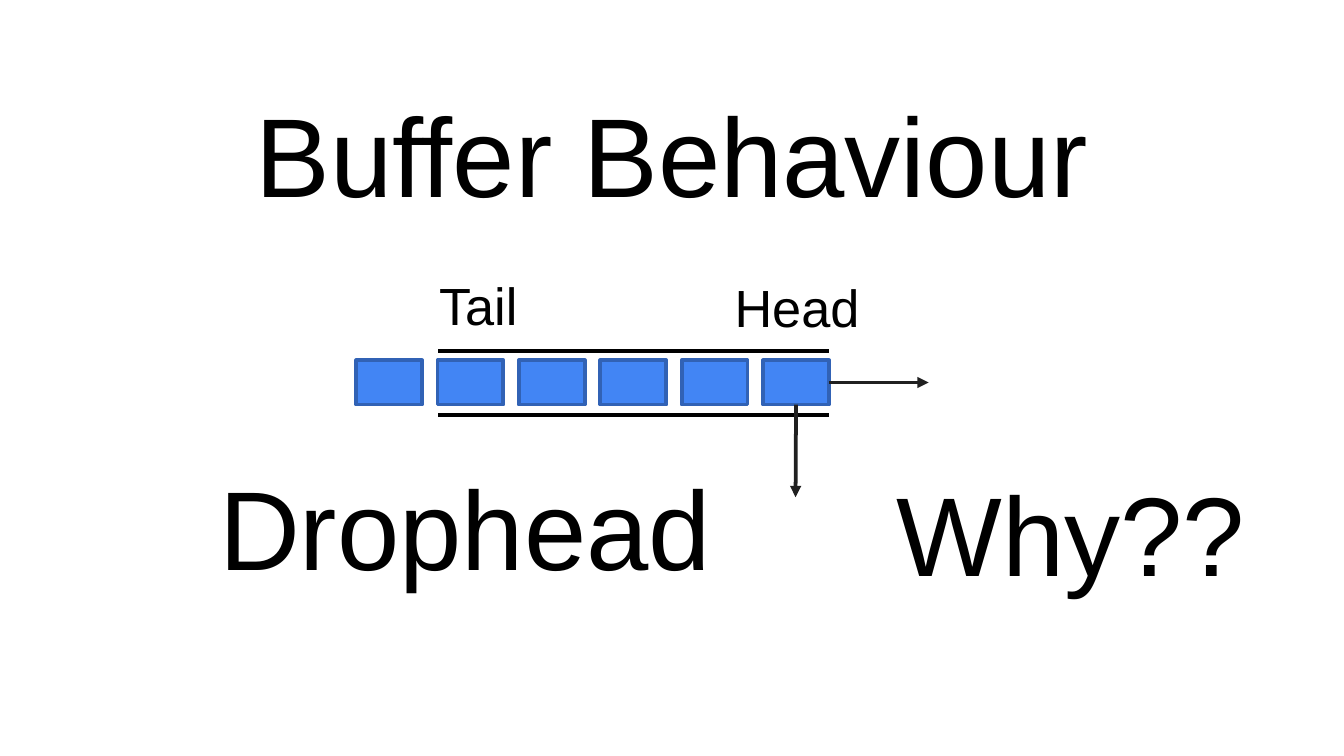
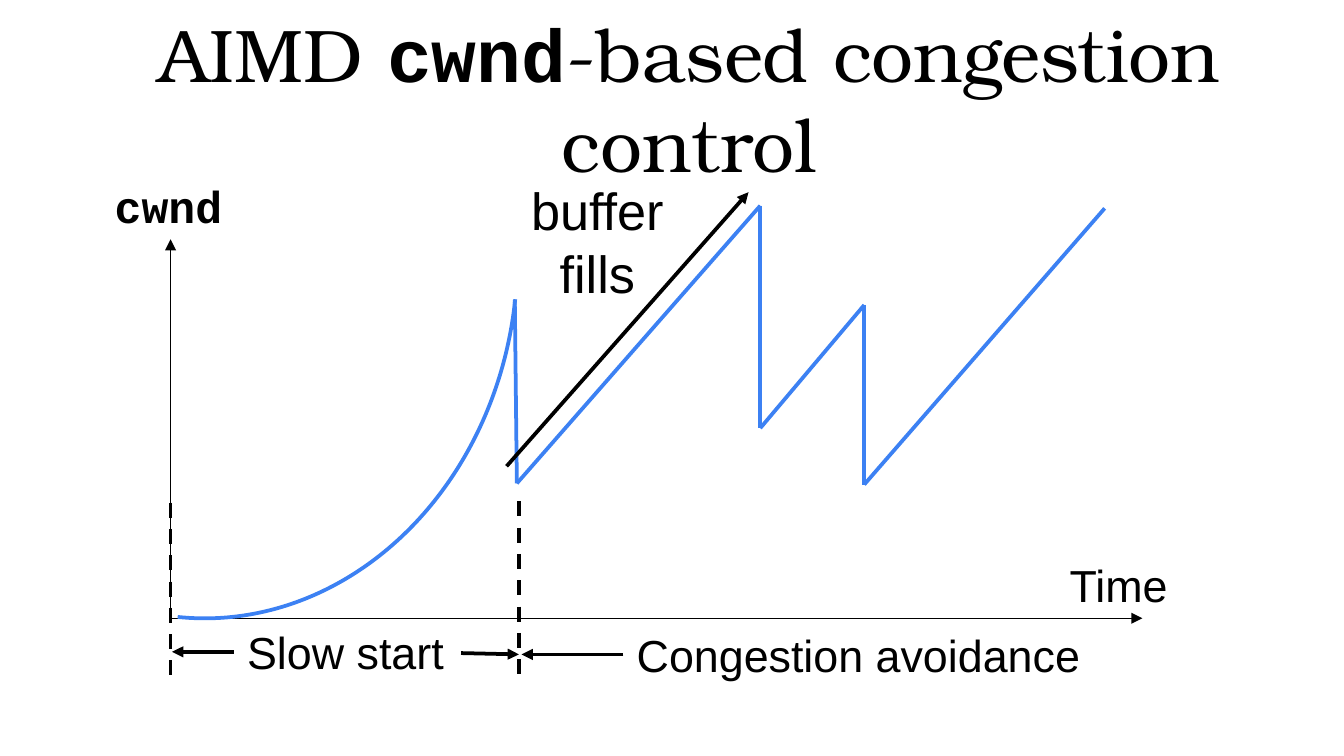
from dataclasses import dataclass
from itertools import pairwise

from lxml import etree
from pptx import Presentation
from pptx.dml.color import RGBColor
from pptx.enum import dml, shapes, text
from pptx.oxml.ns import qn
from pptx.util import Pt


@dataclass(frozen=True)
class Theme:
    black: str = "000000"
    arrow: str = "202020"
    packet: str = "4285F4"
    packet_edge: str = "3162B5"
    curve: str = "3C81F3"
    sans: str = "Arial"
    serif: str = "TeX Gyre Bonum"
    mono: str = "Courier New"
    huge: float = 60
    title: float = 40
    label: float = 28
    axis_label: float = 24
    stroke: float = 2
    thin: float = 0.75


THEME = Theme()
BLANK_LAYOUT = 6


def add_text(slide, paragraphs, left, top, width, height, *, size,
             font=THEME.sans, bold=False, color=THEME.black, centred=True,
             wrap=True, margins=True, anchor=text.MSO_ANCHOR.TOP):
    """Each paragraph is a list of (words, format) runs or a plain string."""
    box = slide.shapes.add_textbox(Pt(left), Pt(top), Pt(width), Pt(height))
    frame = box.text_frame
    frame.word_wrap = wrap
    frame.vertical_anchor = anchor
    if not margins:
        frame.margin_left = frame.margin_right = 0
        frame.margin_top = frame.margin_bottom = 0
    for index, runs in enumerate(paragraphs):
        paragraph = frame.paragraphs[0] if index == 0 else frame.add_paragraph()
        paragraph.alignment = text.PP_ALIGN.CENTER if centred else text.PP_ALIGN.LEFT
        for words, style in [(runs, {})] if isinstance(runs, str) else runs:
            run = paragraph.add_run()
            run.text = words
            run.font.size = Pt(size)
            run.font.name = style.get("font", font)
            run.font.bold = style.get("bold", bold)
            run.font.color.rgb = RGBColor.from_string(color)
    return box


def add_title(slide, runs, left, top, **style):
    add_text(slide, [runs], left, top, 671, 45.4, margins=False,
             anchor=text.MSO_ANCHOR.MIDDLE, **style)


def set_line(line, color, width):
    line.color.rgb = RGBColor.from_string(color)
    line.width = Pt(width)


def add_line(slide, start, end, *, color=THEME.black, width=THEME.stroke,
             arrow=False, dashed=False):
    connector = slide.shapes.add_connector(
        shapes.MSO_CONNECTOR.STRAIGHT, *(Pt(value) for value in (*start, *end)))
    set_line(connector.line, color, width)
    if dashed:
        connector.line.dash_style = dml.MSO_LINE.DASH
    if arrow:
        outline = connector.line._get_or_add_ln()
        etree.SubElement(outline, qn("a:tailEnd"), type="triangle")
    etree.SubElement(connector._element.spPr, qn("a:effectLst"))
    return connector


def add_packet(slide, left, top, width, height):
    packet = slide.shapes.add_shape(shapes.MSO_SHAPE.RECTANGLE, Pt(left), Pt(top),
                                    Pt(width), Pt(height))
    packet.shadow.inherit = False
    packet.fill.solid()
    packet.fill.fore_color.rgb = RGBColor.from_string(THEME.packet)
    set_line(packet.line, THEME.packet_edge, THEME.stroke)
    return packet


def add_arc(slide, left, top, width, height, rotation):
    arc = slide.shapes.add_shape(shapes.MSO_SHAPE.ARC, Pt(left), Pt(top),
                                 Pt(width), Pt(height))
    arc.rotation = rotation
    arc.shadow.inherit = False
    arc.fill.background()
    set_line(arc.line, THEME.curve, THEME.stroke)


def build_buffer_slide(slide):
    add_title(slide, "Buffer Behaviour", 24.5, 59, size=THEME.huge)

    for wall_y in (188, 222.5):
        add_line(slide, (234.7, wall_y), (444.2, wall_y))
    packet_step = 43.6
    packets = [add_packet(slide, 190.8 + packet_step * index, 193, 35.3, 23.8)
               for index in range(6)]
    head = packets[-1]
    for side, end in ((2, (426.2, 266.4)), (3, (497.5, 204.9))):
        exit_arrow = add_line(slide, (426.5, 205), end, color=THEME.arrow, arrow=True)
        exit_arrow.begin_connect(head, side)

    for words, left, top in (("Tail", 208, 142.6), ("Head", 378.7, 144)):
        add_text(slide, [words], left, top, 96.5, 41, size=THEME.label)
    for words, left, top, width in (("Drophead", 85, 242, 328.3),
                                    ("Why??", 449.3, 245.5, 249)):
        add_text(slide, [words], left, top, width, 80, size=THEME.huge)


def build_congestion_slide(slide):
    mono = {"font": THEME.mono, "bold": True}
    add_title(slide, [("AIMD ", {}), ("cwnd", mono), ("-based congestion control", {})],
              33.8, 29.5, size=THEME.title, font=THEME.serif)

    origin = (91.4, 331.2)
    for axis_end in ((91.4, 128.2), (612, 331.2)):
        add_line(slide, origin, axis_end, width=THEME.thin, arrow=True)
    add_text(slide, ["cwnd"], 33.8, 92.2, 113, 36, size=THEME.axis_label, **mono)

    add_arc(slide, -73.4, -18.7, 375.8, 324.7, 95.9)
    sawtooth = [(275.8, 160.6), (276.9, 259), (407.3, 110.2), (407.3, 229.4),
                (463, 163.4), (463, 259.6), (591.8, 111.6)]
    for start, end in pairwise(sawtooth):
        add_line(slide, start, end, color=THEME.curve)

    for boundary_x, top in ((91.4, 269.3), (278, 268.6)):
        add_line(slide, (boundary_x, top), (boundary_x, top + 95.8), dashed=True)
    for start, end in (((125.3, 349.2), (92.2, 349.2)),
                       ((247, 349.9), (278, 350.6)),
                       ((334, 350.6), (279.4, 350.6)),
                       ((271.4, 249.8), (401, 103))):
        add_line(slide, start, end, arrow=True)

    for words, left, top, width in (("Time", 566, 295.2, 68.4),
                                    ("Slow start", 125.3, 331.2, 121),
                                    ("Congestion avoidance", 334, 332.6, 255)):
        add_text(slide, [words], left, top, width, 36, size=THEME.axis_label,
                 centred=False, wrap=False)
    add_text(slide, ["buffer", "fills"], 271.4, 92.2, 97.2, 75, size=THEME.label)


def main():
    presentation = Presentation()
    presentation.slide_width, presentation.slide_height = Pt(720), Pt(405)
    for build in (build_buffer_slide, build_congestion_slide):
        build(presentation.slides.add_slide(presentation.slide_layouts[BLANK_LAYOUT]))
    presentation.save("out.pptx")


if __name__ == "__main__":
    main()
